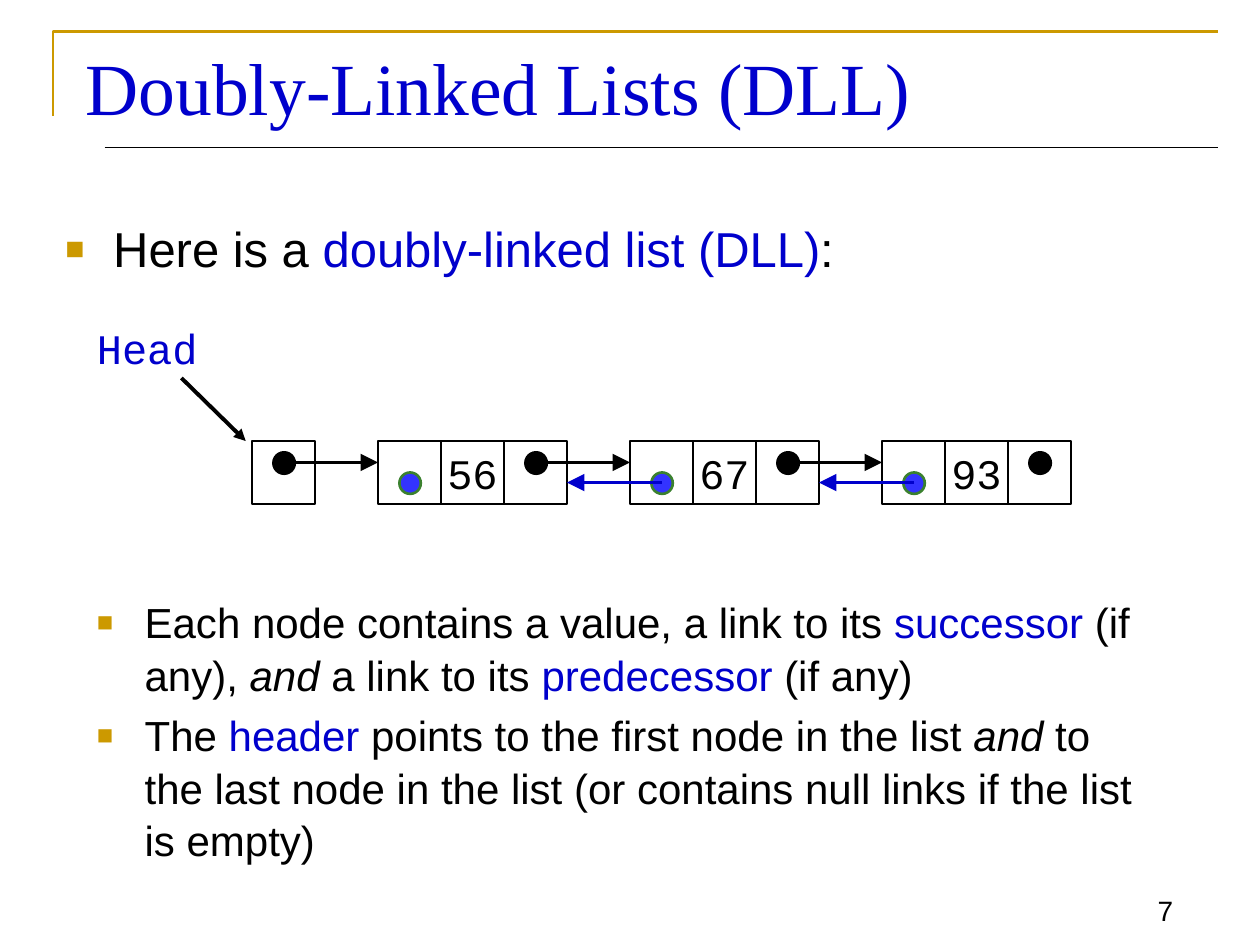
from lxml.etree import SubElement
from pptx import Presentation
from pptx.dml.color import RGBColor
from pptx.enum.shapes import MSO_CONNECTOR, MSO_SHAPE
from pptx.enum.text import MSO_ANCHOR, PP_ALIGN
from pptx.oxml.ns import qn
from pptx.util import Inches, Pt

BLACK = RGBColor(0x00, 0x00, 0x00)
BLUE = RGBColor(0x00, 0x00, 0xCC)
GOLD = RGBColor(0xCC, 0x99, 0x00)
DOT = RGBColor(0x33, 0x33, 0xFF)
GREEN = RGBColor(0x3B, 0x81, 0x2F)

SANS = "Arial"
MONO = "Courier New"
SERIF = "Times New Roman"

CELL = 0.5
STEP = 2
TOP = 3.5
NEXT = TOP + 0.17
PREV = TOP + 0.33


class Deck:
    def __init__(self):
        self.deck = Presentation()
        self.deck.slide_width = Inches(10)
        self.deck.slide_height = Inches(7.5)
        self.slide = self.deck.slides.add_slide(self.deck.slide_layouts[5])
        self.shapes = self.slide.shapes

    def font(self, para, name, size, color):
        para.font.name = name
        para.font.size = Pt(size)
        para.font.color.rgb = color

    def title(self, text, x, y, w, h):
        title = self.shapes.title
        title.left, title.top, title.width, title.height = map(Inches, (x, y, w, h))
        title.text_frame.text = text
        title.text_frame.vertical_anchor = MSO_ANCHOR.BOTTOM
        para = title.text_frame.paragraphs[0]
        para.alignment = PP_ALIGN.LEFT
        self.font(para, SERIF, 42, BLUE)

    def box(self, x, y, w, h):
        frame = self.shapes.add_textbox(*map(Inches, (x, y, w, h))).text_frame
        frame.word_wrap = True
        return frame

    def label(self, text, x, y, w, h, name, size, color, align=PP_ALIGN.LEFT):
        frame = self.box(x, y, w, h)
        frame.vertical_anchor = MSO_ANCHOR.BOTTOM
        frame.text = text
        para = frame.paragraphs[0]
        para.alignment = align
        self.font(para, name, size, color)

    def bullet(self, para):
        props = para._p.get_or_add_pPr()
        props.set("marL", str(Inches(0.38)))
        props.set("indent", str(-Inches(0.38)))
        tint = SubElement(props, qn("a:buClr"))
        SubElement(tint, qn("a:srgbClr")).set("val", str(GOLD))
        SubElement(props, qn("a:buSzPct")).set("val", "65000")
        SubElement(props, qn("a:buFont")).set("typeface", SANS)
        SubElement(props, qn("a:buChar")).set("char", "■")

    def points(self, items, x, y, w, h, size):
        frame = self.box(x, y, w, h)
        for i, parts in enumerate(items):
            para = frame.add_paragraph() if i else frame.paragraphs[0]
            self.bullet(para)
            para.line_spacing = 1.04
            if i:
                para.space_before = Pt(size * 0.2)
            self.font(para, SANS, size, BLACK)
            for text, style in parts:
                run = para.add_run()
                run.text = text
                if style == "key":
                    run.font.color.rgb = BLUE
                elif style == "stress":
                    run.font.italic = True

    def shape(self, kind, x, y, size, fill, line):
        shape = self.shapes.add_shape(kind, *map(Inches, (x, y, size, size)))
        shape.shadow.inherit = False
        if fill is None:
            shape.fill.background()
        else:
            shape.fill.solid()
            shape.fill.fore_color.rgb = fill
        shape.line.color.rgb = line
        shape.line.width = Pt(1.5)
        return shape

    def cell(self, x, text=""):
        frame = self.shape(MSO_SHAPE.RECTANGLE, x, TOP, CELL, None, BLACK).text_frame
        if text:
            frame.word_wrap = False
            frame.vertical_anchor = MSO_ANCHOR.MIDDLE
            frame.text = text
            para = frame.paragraphs[0]
            para.alignment = PP_ALIGN.CENTER
            self.font(para, MONO, 24, BLACK)

    def dot(self, x, y, fill, line):
        self.shape(MSO_SHAPE.OVAL, x + 0.17, y - 0.08, 0.17, fill, line)

    def line(self, x1, y1, x2, y2, color, width, head=None):
        ends = map(Inches, (x1, y1, x2, y2))
        line = self.shapes.add_connector(MSO_CONNECTOR.STRAIGHT, *ends)
        line.line.color.rgb = color
        line.line.width = Pt(width)
        if head:
            tip = SubElement(line.line._get_or_add_ln(), qn("a:tailEnd"))
            tip.set("type", "triangle")
            tip.set("w", head)
            tip.set("len", head)
        SubElement(line._element.spPr, qn("a:effectLst"))

    def frame(self, nodes):
        first, *rest = [(Inches(x), Inches(y)) for x, y in nodes]
        path = self.shapes.build_freeform(*first)
        path.add_line_segments(rest, close=False)
        shape = path.convert_to_shape()
        shape.shadow.inherit = False
        shape.fill.background()
        shape.line.color.rgb = GOLD
        shape.line.width = Pt(1.5)

    def link(self, x):
        self.dot(x, NEXT, BLACK, BLACK)

    def node(self, x, value):
        for i, text in enumerate(("", value, "")):
            self.cell(x + i * CELL, text)
        self.dot(x, PREV, DOT, GREEN)
        self.link(x + 2 * CELL)


def main():
    deck = Deck()
    deck.frame([(0.42, 0.92), (0.42, 0.25), (9.67, 0.25)])
    deck.line(0.83, 1.17, 9.67, 1.17, BLACK, 0.75)
    deck.label("7", 8.75, 6.92, 0.66, 0.49, SANS, 16, BLACK, PP_ALIGN.RIGHT)
    deck.title("Doubly-Linked Lists (DLL)", 0.58, 0.25, 9.08, 0.83)
    intro = [("Here is a ", ""), ("doubly-linked list (DLL)", "key"), (":", "")]
    deck.points([intro], 0.42, 1.67, 9.38, 0.77, 28)
    nodes = [
        ("Each node contains a value, a link to its ", ""),
        ("successor", "key"),
        (" (if any), ", ""),
        ("and", "stress"),
        (" a link to its ", ""),
        ("predecessor", "key"),
        (" (if any)", ""),
    ]
    header = [
        ("The ", ""),
        ("header", "key"),
        (" points to the first node in the list ", ""),
        ("and", "stress"),
        (" to the last node in the list (or contains null links if the list is empty)", ""),
    ]
    deck.points([nodes, header], 0.67, 4.67, 8.5, 2.58, 24)

    deck.line(1.44, 3, 1.95, 3.5, BLACK, 2.25, "med")
    deck.label("Head", 0.67, 2.5, 1.42, 0.51, MONO, 24, BLUE)
    deck.cell(2)
    deck.link(2)
    for i, value in enumerate(("56", "67", "93")):
        x = 3 + i * STEP
        deck.node(x, value)
        deck.line(x - 0.75, NEXT, x, NEXT, BLACK, 1.5, "lg")
        if i:
            deck.line(x + 0.25, PREV, x - CELL, PREV, BLUE, 1.5, "lg")
    deck.deck.save("out.pptx")


if __name__ == "__main__":
    main()
